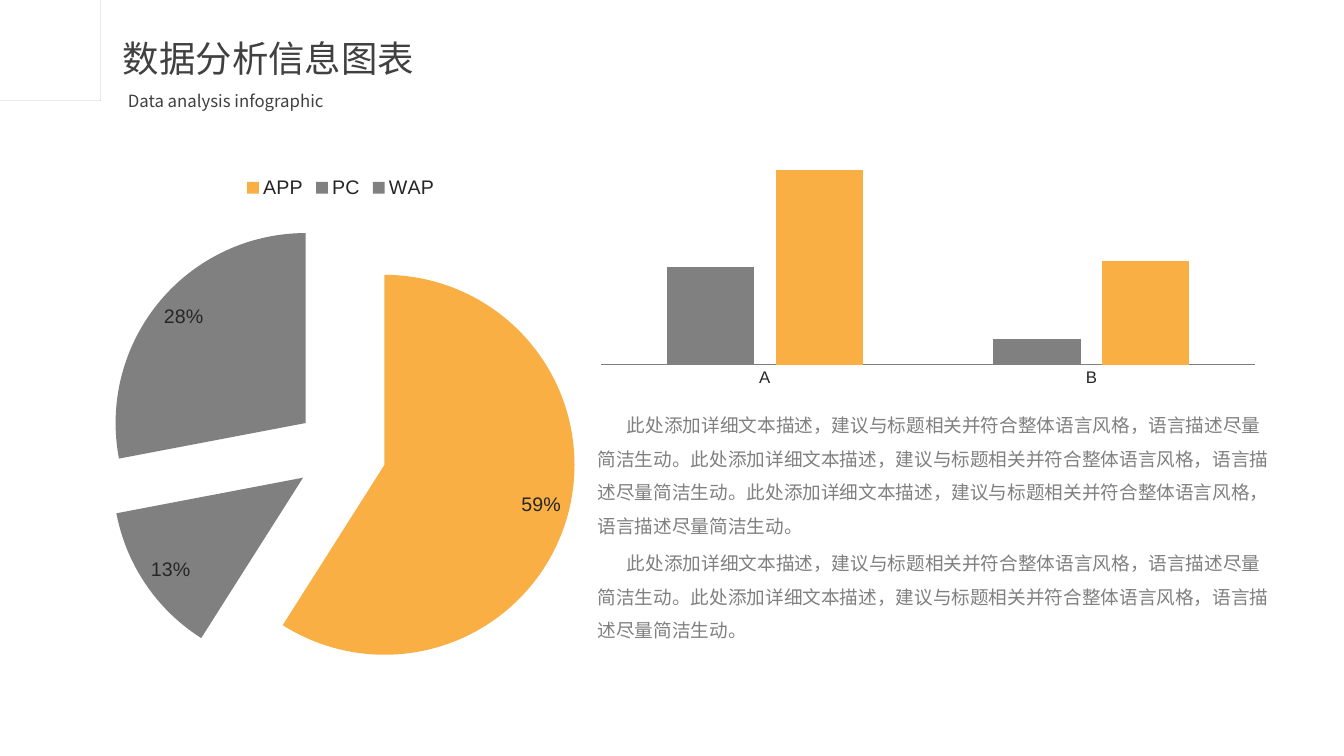
"""Builds a data analysis slide with a pie chart, a column chart and a description."""
from math import cos, radians, sin

from lxml import etree
from pptx import Presentation
from pptx import util as u
from pptx.chart.data import CategoryChartData
from pptx.dml.color import RGBColor
from pptx.enum import chart as ch, text
from pptx.oxml.ns import qn

THEME = {
    "accent": "F9AF44", "gray": "808080", "title": "404040", "icon": "595959", "chart": "262626",
    "font": "Arial", "cjk": "Noto Sans CJK SC",
    "title_size": 26, "subtitle_size": 12, "body_size": 13.3, "pie_size": 14, "column_size": 12,
}
TITLE = "数据分析信息图表"
SUBTITLE = "Data analysis infographic"
SENTENCE = "此处添加详细文本描述，建议与标题相关并符合整体语言风格，语言描述尽量简洁生动。"
BODY = [SENTENCE * 3, SENTENCE * 2]
PIE = {"cats": ["APP", "PC", "WAP"], "series": [("Series 1", [59, 13, 28])],
       "colors": ["accent", "gray", "gray"], "explosion": 24}
COLUMNS = {"cats": ["A", "B"], "series": [("Series 1", [50, 13]), ("Series 2", [100, 53])],
           "colors": ["gray", "accent"]}
ICON_DISC = {"center": (0.71, 0.75), "radius": 0.295, "angles": (-8, 282), "corner": (0.77, 0.71)}
ICON_WEDGE = {"center": (0.77, 0.71), "radius": 0.275, "angles": (-75, -15), "corner": (0.84, 0.64)}


def color(key):
    return RGBColor.from_string(THEME[key])


def paint(fill, key):
    fill.solid()
    fill.fore_color.rgb = color(key)


def add_text(s, box, lines, size, key, font, wrap=False):
    tf = s.shapes.add_textbox(*map(u.Inches, box)).text_frame
    tf.word_wrap = wrap
    tf.auto_size = text.MSO_AUTO_SIZE.SHAPE_TO_FIT_TEXT
    tf.text = "\n".join(lines)
    for p in tf.paragraphs:
        for r in p.runs:
            r.font.size = u.Pt(THEME[size])
            r.font.name = THEME[font]
            r.font.color.rgb = color(key)
            etree.SubElement(r.font._element, qn("a:ea")).set("typeface", THEME["cjk"])
    return tf


def add_chart(s, kind, box, content, size):
    data = CategoryChartData()
    data.categories = content["cats"]
    for name, values in content["series"]:
        data.add_series(name, values)
    chart = s.shapes.add_chart(kind, *map(u.Inches, box), data).chart
    chart.has_title = False
    chart.font.size = u.Pt(THEME[size])
    chart.font.name = THEME["font"]
    chart.font.color.rgb = color("chart")
    return chart


def add_pie(s):
    chart = add_chart(s, ch.XL_CHART_TYPE.PIE, (-0.65, 1.64, 8.06, 5.32), PIE, "pie_size")
    chart.has_legend = True
    chart.legend.position = ch.XL_LEGEND_POSITION.TOP
    chart.legend.include_in_layout = False
    plot = chart.plots[0]
    plot.vary_by_categories = True
    series = plot.series[0]
    for i, key in enumerate(PIE["colors"]):
        paint(series.points[i].format.fill, key)
    explosion = etree.Element(qn("c:explosion"), val=str(PIE["explosion"]))
    series._element.find(qn("c:dPt")).addprevious(explosion)
    plot.has_data_labels = True
    labels = plot.data_labels
    labels.show_value = False
    labels.show_percentage = True
    labels.number_format = "0%"
    labels.number_format_is_linked = False
    labels.position = ch.XL_LABEL_POSITION.INSIDE_END


def add_columns(s):
    chart = add_chart(s, ch.XL_CHART_TYPE.COLUMN_CLUSTERED, (5.83, 1.64, 6.75, 2.24),
                      COLUMNS, "column_size")
    chart.has_legend = False
    plot = chart.plots[0]
    plot.vary_by_categories = False
    plot.gap_width = 150
    plot.overlap = -25
    for series, key in zip(plot.series, COLUMNS["colors"]):
        paint(series.format.fill, key)
    chart.category_axis.major_tick_mark = ch.XL_TICK_MARK.NONE
    chart.category_axis.format.line.color.rgb = color("gray")
    axis = chart.value_axis
    axis.minimum_scale, axis.maximum_scale = 0, 100
    axis.has_major_gridlines = False
    axis.visible = False


def outline(part, steps=48):
    (cx, cy), radius, (first, last) = part["center"], part["radius"], part["angles"]
    angles = [radians(first + (last - first) * i / steps) for i in range(steps + 1)]
    return [part["corner"]] + [(cx + radius * cos(a), cy + radius * sin(a)) for a in angles]


def add_icon(s):
    disc, wedge = outline(ICON_DISC), outline(ICON_WEDGE)
    builder = s.shapes.build_freeform(*disc[0], scale=u.Inches(1))
    builder.add_line_segments(disc[1:], close=True)
    builder.move_to(*wedge[0])
    builder.add_line_segments(wedge[1:], close=True)
    sp = builder.convert_to_shape()
    sp.shadow.inherit = False
    paint(sp.fill, "icon")
    sp.line.fill.background()


def main():
    prs = Presentation()
    prs.slide_width, prs.slide_height = u.Inches(13.33), u.Inches(7.5)
    s = prs.slides.add_slide(prs.slide_layouts[6])
    add_pie(s)
    body = add_text(s, (5.83, 3.95, 6.93, 2.46), BODY, "body_size", "gray", "font", wrap=True)
    for i, p in enumerate(body.paragraphs):
        p.line_spacing = 1.5
        p.space_before = u.Pt(2.7 if i else 0)
        p._p.get_or_add_pPr().set("indent", str(u.Inches(0.29)))
    add_columns(s)
    add_text(s, (1.12, 0.31, 3.12, 0.54), [TITLE], "title_size", "title", "cjk")
    add_icon(s)
    add_text(s, (1.17, 0.85, 2.22, 0.3), [SUBTITLE], "subtitle_size", "title", "cjk")
    prs.save("out.pptx")


if __name__ == "__main__":
    main()
